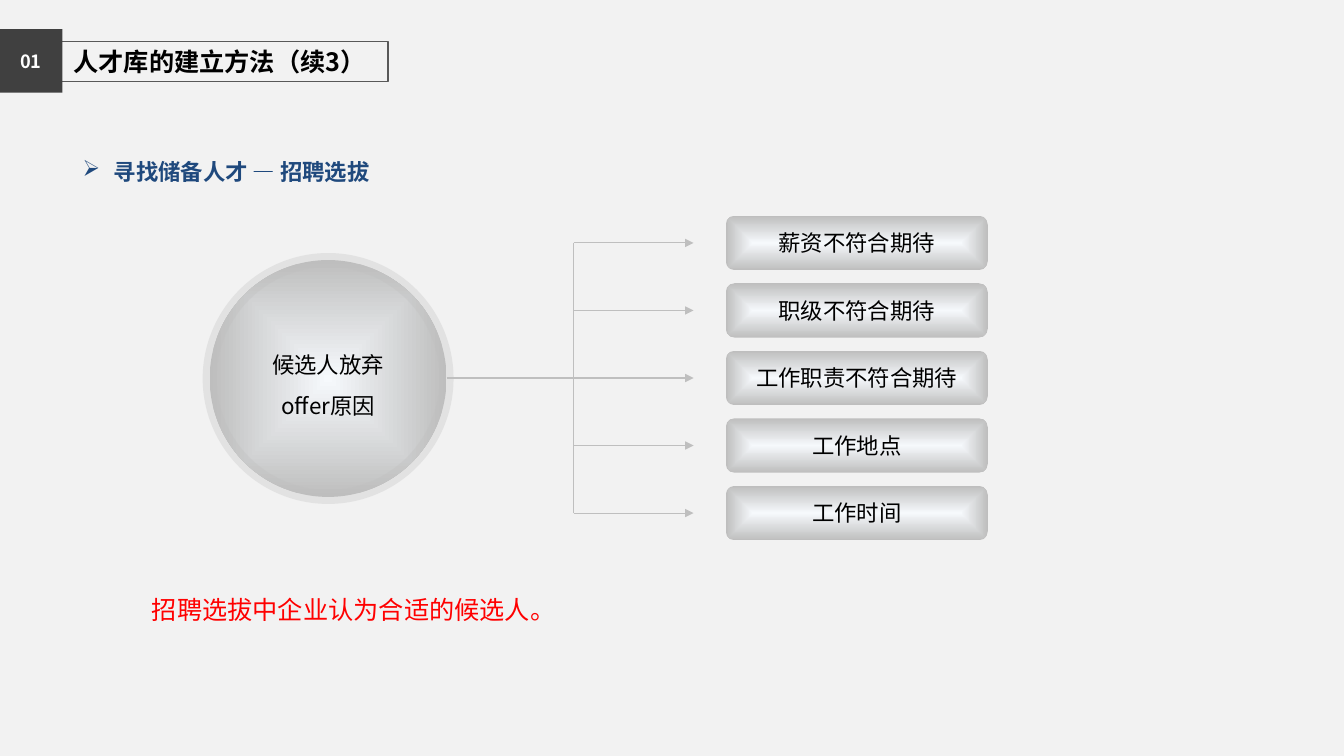
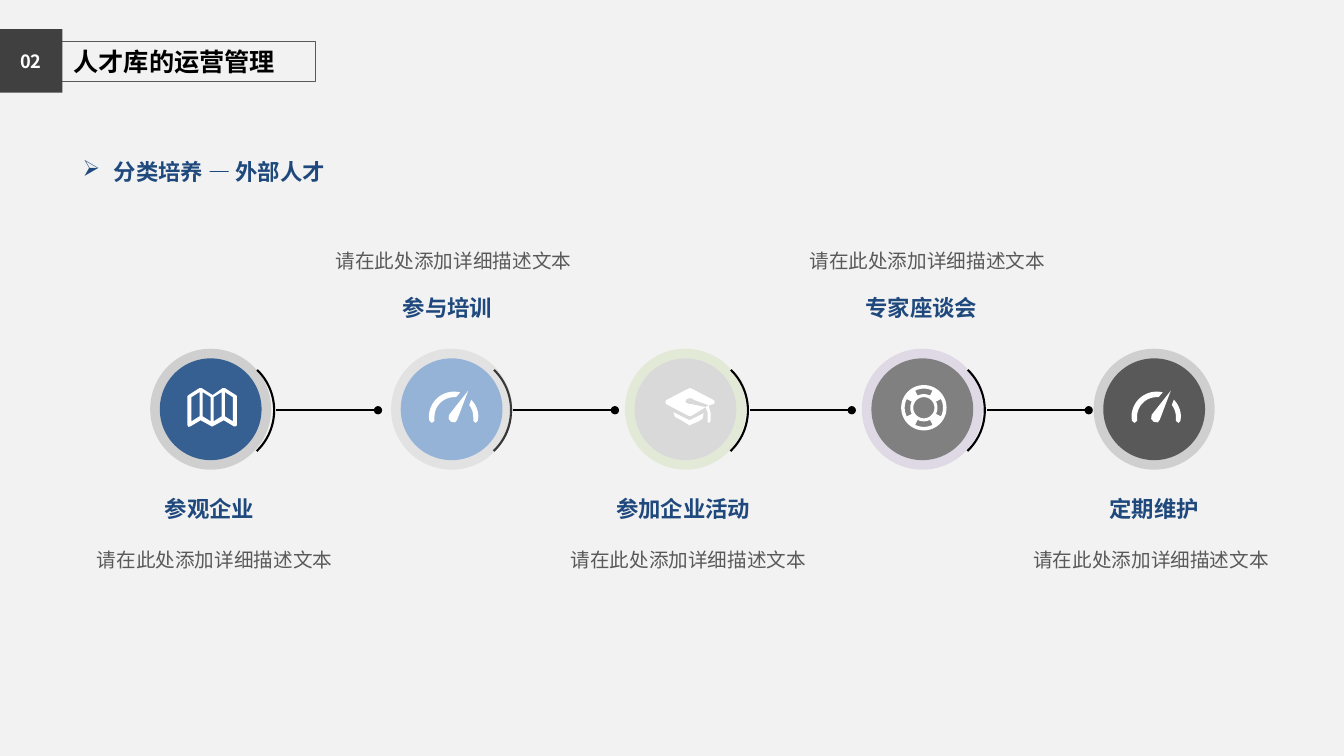
import math

import lxml.etree
import pptx
import pptx.dml.color
import pptx.enum.shapes
import pptx.enum.text
import pptx.oxml
import pptx.oxml.ns
import pptx.util

RGB = pptx.dml.color.RGBColor
SHAPE = pptx.enum.shapes.MSO_SHAPE
ALIGN = pptx.enum.text.PP_ALIGN
ANCHOR = pptx.enum.text.MSO_ANCHOR
QN = pptx.oxml.ns.qn

PAPER = RGB(0xF2, 0xF2, 0xF2)
WHITE = RGB(0xFF, 0xFF, 0xFF)
BLACK = RGB(0x00, 0x00, 0x00)
DARK = RGB(0x40, 0x40, 0x40)
SLATE = RGB(0x59, 0x59, 0x59)
GREY = RGB(0x80, 0x80, 0x80)
SILVER = RGB(0xBE, 0xBE, 0xBE)
RULE = RGB(0xBF, 0xBF, 0xBF)
PALE = RGB(0xD9, 0xD9, 0xD9)
FROST = RGB(0xF6, 0xF9, 0xFC)
NAVY = RGB(0x1F, 0x49, 0x7D)
BLUE = RGB(0x37, 0x60, 0x92)
SKY = RGB(0x95, 0xB3, 0xD7)
GREEN = RGB(0xC3, 0xD6, 0x9B)
MAUVE = RGB(0xB3, 0xA2, 0xC7)
RED = RGB(0xFF, 0x00, 0x00)

FONT = "Noto Sans CJK SC"
CELL = pptx.util.Inches(0.1)
WIDE, HIGH = 133.33, 75
SLIM, ROOMY = (1, 0.5, 1, 0.5), (2, 1, 2, 1)
NOTE = "请在此处添加详细描述文本"


def grid(*cells):
    """Turn counts of grid cells into lengths."""
    return [pptx.util.Emu(round(cell * CELL)) for cell in cells]


def write(frame, words, size=16, color=BLACK, bold=False, align=ALIGN.LEFT,
          anchor=ANCHOR.TOP, lead=None, wrap=True, pad=SLIM, bullet=None):
    """Put one formatted paragraph in a text frame."""
    frame.auto_size = pptx.enum.text.MSO_AUTO_SIZE.NONE
    frame.word_wrap = wrap
    frame.vertical_anchor = anchor
    (frame.margin_left, frame.margin_top,
     frame.margin_right, frame.margin_bottom) = grid(*pad)
    para = frame.paragraphs[0]
    para.alignment = align
    if lead:
        para.line_spacing = lead
    if bullet:
        props = para._p.get_or_add_pPr()
        indent = grid(3.1)[0]
        props.set("marL", str(indent))
        props.set("indent", str(-indent))
        lxml.etree.SubElement(props, QN("a:buChar"), char=bullet)
    run = para.add_run()
    run.text = words
    font = run.font
    font.size, font.bold = pptx.util.Pt(size), bold
    font.color.rgb = color
    font.name = FONT
    lxml.etree.SubElement(run._r.get_or_add_rPr(), QN("a:ea"), typeface=FONT)


def label(page, words, box, **form):
    """Add a text box."""
    write(page.shapes.add_textbox(*grid(*box)).text_frame, words, **form)


def fade(fill, share):
    """Make a solid fill partly clear."""
    for tone in fill.iter(QN("a:srgbClr")):
        lxml.etree.SubElement(tone, QN("a:alpha"), val=str(share * 1000))


def shape(page, kind, box, fill=None):
    """Add a preset shape with a plain fill or none."""
    item = page.shapes.add_shape(kind, *grid(*box))
    item.shadow.inherit = False
    item.line.fill.background()
    if fill is None:
        item.fill.background()
    else:
        item.fill.solid()
        item.fill.fore_color.rgb = fill
    return item


def glow(item):
    """Fill a shape with a gradient spreading from its middle."""
    props = item._element.spPr
    props.replace(props.find(QN("a:noFill")), pptx.oxml.parse_xml(
        f'<a:gradFill {pptx.oxml.ns.nsdecls("a")} rotWithShape="1"><a:gsLst>'
        f'<a:gs pos="0"><a:srgbClr val="{FROST}"/></a:gs>'
        f'<a:gs pos="100000"><a:srgbClr val="{SILVER}"/></a:gs></a:gsLst>'
        '<a:path path="rect"><a:fillToRect l="50000" t="50000" r="50000" '
        'b="50000"/></a:path></a:gradFill>'))


def stroke(item, color, width):
    """Set the outline of a shape or line."""
    item.line.color.rgb = color
    item.line.width = pptx.util.Pt(width)


def line(page, start, end, color, width, tip=None):
    """Add a straight line with an optional tip at its end."""
    kind = pptx.enum.shapes.MSO_CONNECTOR.STRAIGHT
    item = page.shapes.add_connector(kind, *grid(*start, *end))
    stroke(item, color, width)
    props = item._element.spPr
    if tip:
        lxml.etree.SubElement(props.find(QN("a:ln")), QN("a:tailEnd"), type=tip)
    lxml.etree.SubElement(props, QN("a:effectLst"))


def arc(x, y, size, start, end):
    """List points along an arc, with angles in degrees."""
    steps = max(2, round(abs(end - start) / 6))
    turns = [math.radians(start + (end - start) * i / steps)
             for i in range(steps + 1)]
    return [(x + size * math.cos(t), y + size * math.sin(t)) for t in turns]


def chart():
    """Return the outlines of a folded map."""
    rim = [(48, 7), (37, 0), (35, 0), (25, 7), (14, 0), (12, 0), (1, 7), (0, 8),
           (0, 37), (1, 38.5), (3, 38), (13, 32), (24, 38), (25, 38), (36, 32),
           (46, 38), (48, 38), (49, 37), (49, 8)]
    folds = []
    for i in range(4):
        left, right = 4 + 11 * i, 12 + 11 * i
        near, far = (right, left) if i % 2 == 0 else (left, right)
        folds.append([(near, 28), (far, 33), (far, 9), (near, 4)])
    return [rim, *folds]


def gauge():
    """Return the outlines of a dial with its needle."""
    return [
        [(39, 1), (28, 30), (26, 32.5), (22, 32), (19.5, 29), (20, 25)],
        [(3, 33), (0.5, 31), *arc(25, 27, 25, 180, 284),
         *arc(25, 27, 19.5, 275, 180), (5.5, 31)],
        [*arc(25, 27, 24, 315, 360), (48.5, 31), (46.5, 33), (44, 31),
         *arc(25, 27, 19, 360, 322)],
    ]


def cap():
    """Return the outlines of a graduate's cap."""
    return [
        [(8, 24), (9.5, 28.5), (16, 32), (24, 37), (33, 33), (37, 30.5),
         (38, 25), (24, 32)],
        [(48, 12), (27, 1), (24.5, 0), (22, 1), (1, 12), (0, 14), (1, 16),
         (22, 27), (24.5, 28), (27, 27), (40, 19), (26, 16), (24, 16),
         (20.5, 14.5), (20, 13), (21, 11), (24, 10), (27, 10.5), (29, 12),
         (43, 17), (48, 16), (49, 14)],
        [(42, 34), (43.5, 34.5), (45, 33), (45, 25), (43, 17), (40, 19), (42, 24)],
    ]


def buoy():
    """Return the outlines of a life ring."""
    mid = (22.5, 22.5)
    slots = [[*arc(*mid, 19, turn - 27, turn + 27),
              *arc(*mid, 13.5, turn + 27, turn - 27)]
             for turn in range(0, 360, 90)]
    return [arc(*mid, 22.5, 0, 360), arc(*mid, 10.5, 0, 360), *slots]


def icon(page, loops, left, top):
    """Draw outlines, given in tenths of a cell, as one white form."""
    pens = [[tuple(grid(left + x / 10, top + y / 10)) for x, y in loop]
            for loop in loops]
    form = page.shapes.build_freeform(*pens[0][0], scale=1.0)
    form.add_line_segments(pens[0][1:])
    for pen in pens[1:]:
        form.move_to(*pen[0])
        form.add_line_segments(pen[1:])
    item = form.convert_to_shape()
    item.shadow.inherit = False
    item.fill.solid()
    item.fill.fore_color.rgb = WHITE
    item.line.fill.background()


def start(deck, code, title, width, topic):
    """Add a slide with its number, framed title and topic line."""
    page = deck.slides.add_slide(deck.slide_layouts[5])
    head = page.shapes.title
    head.left, head.top, head.width, head.height = grid(5.2, 4.1, width, 4)
    stroke(head, SLATE, 1)
    write(head.text_frame, title, size=18, bold=True, anchor=ANCHOR.MIDDLE,
          pad=(2.1, 0, 0, 0))
    badge = shape(page, SHAPE.RECTANGLE, (-0.1, 2.9, 6.3, 6.3), DARK)
    write(badge.text_frame, code, size=13, color=WHITE, bold=True,
          align=ALIGN.CENTER, anchor=ANCHOR.MIDDLE)
    label(page, topic, (6.2, 14.7, 33.1, 4.7), color=NAVY, bold=True,
          wrap=False, pad=ROOMY, bullet="➢")
    return page


def causes(page):
    """Draw the circle that branches into five causes."""
    label(page, "招聘选拔中企业认为合适的候选人。", (14.1, 58.5, 42, 4),
          size=18, color=RED, wrap=False)
    core = shape(page, SHAPE.OVAL, (20.8, 25.8, 23.5, 23.5))
    glow(core)
    stroke(core, SILVER, 10)
    fade(core._element.spPr.find(QN("a:ln")), 30)
    write(core.text_frame, "候选人放弃offer原因", align=ALIGN.CENTER,
          anchor=ANCHOR.MIDDLE, lead=1.5)
    items = ["薪资不符合期待", "职级不符合期待", "工作职责不符合期待",
             "工作地点", "工作时间"]
    top, step, tall, trunk = 21.4, 6.7, 5.4, 56.9
    rows = [top + step * i + tall / 2 for i in range(len(items))]
    line(page, (trunk, rows[0]), (trunk, rows[-1]), RULE, 0.75)
    for i, (words, row) in enumerate(zip(items, rows)):
        card = shape(page, SHAPE.ROUNDED_RECTANGLE,
                     (72, row - tall / 2, 26, tall))
        glow(card)
        write(card.text_frame, words, align=ALIGN.CENTER, anchor=ANCHOR.MIDDLE)
        left = 44.3 if i == len(items) // 2 else trunk
        line(page, (left, row), (68.8, row), RULE, 0.75, "triangle")


def link(page, i):
    """Draw the arc and line that lead from one stage to the next."""
    left = 16 + 23.5 * i
    line(page, (left + 11.4, 40.7), (left + 21.5, 40.7), BLACK, 1.5, "oval")
    bow = shape(page, SHAPE.ARC, (left, 35.1, 11.2, 11.2))
    bow.rotation = 270
    bow.adjustments[0], bow.adjustments[1] = 26.57, 81.76
    stroke(bow, BLACK, 1.5)


def stage(page, mid, fill, halo, loops, shift):
    """Draw a disc with a pale halo and an icon."""
    row = 40.6
    for size, color in ((12, halo), (10.1, fill)):
        disc = shape(page, SHAPE.OVAL,
                     (mid - size / 2, row - size / 2, size, size), color)
        if color is halo:
            fade(disc._element.spPr, 30)
    icon(page, loops, mid + shift[0], row + shift[1])


def steps(page):
    """Draw the chain of five stages and their texts."""
    dial = gauge(), (-2.25, -1.95)
    stages = [
        (20.9, BLUE, GREY, chart(), (-2.3, -2.1)),
        (44.8, SKY, RULE, *dial),
        (68, PALE, GREEN, cap(), (-2, -2.1)),
        (91.5, GREY, MAUVE, buoy(), (-2.1, -2.4)),
        (114.5, SLATE, GREY, *dial),
    ]
    texts = [("参观企业", 20.8, 7.6), ("参与培训", 44.4, 31.3),
             ("参加企业活动", 67.8, 54.6), ("专家座谈会", 91.4, 78.3),
             ("定期维护", 114.5, 100.5)]
    link(page, 1)
    for item in stages:
        stage(page, *item)
    for i in (0, 2, 3):
        link(page, i)
    for i, (name, mid, left) in enumerate(texts):
        high, low = (48.1, 52.2) if i % 2 == 0 else (28.2, 22.5)
        label(page, name, (mid - 8.7, high, 17.4, 4.7), color=NAVY, bold=True,
              align=ALIGN.CENTER, wrap=False, pad=ROOMY)
        label(page, NOTE, (left, low, 27.8, 5.5), size=14, color=SLATE,
              lead=1.5, pad=ROOMY)


def main():
    """Build and save the deck."""
    deck = pptx.Presentation()
    deck.slide_width, deck.slide_height = grid(WIDE, HIGH)
    back = deck.slide_master.background.fill
    back.solid()
    back.fore_color.rgb = PAPER
    causes(start(deck, "01", "人才库的建立方法（续3）", 33.3, "寻找储备人才 — 招聘选拔"))
    steps(start(deck, "02", "人才库的运营管理", 26.1, "分类培养 — 外部人才"))
    deck.save("out.pptx")


if __name__ == "__main__":
    main()
